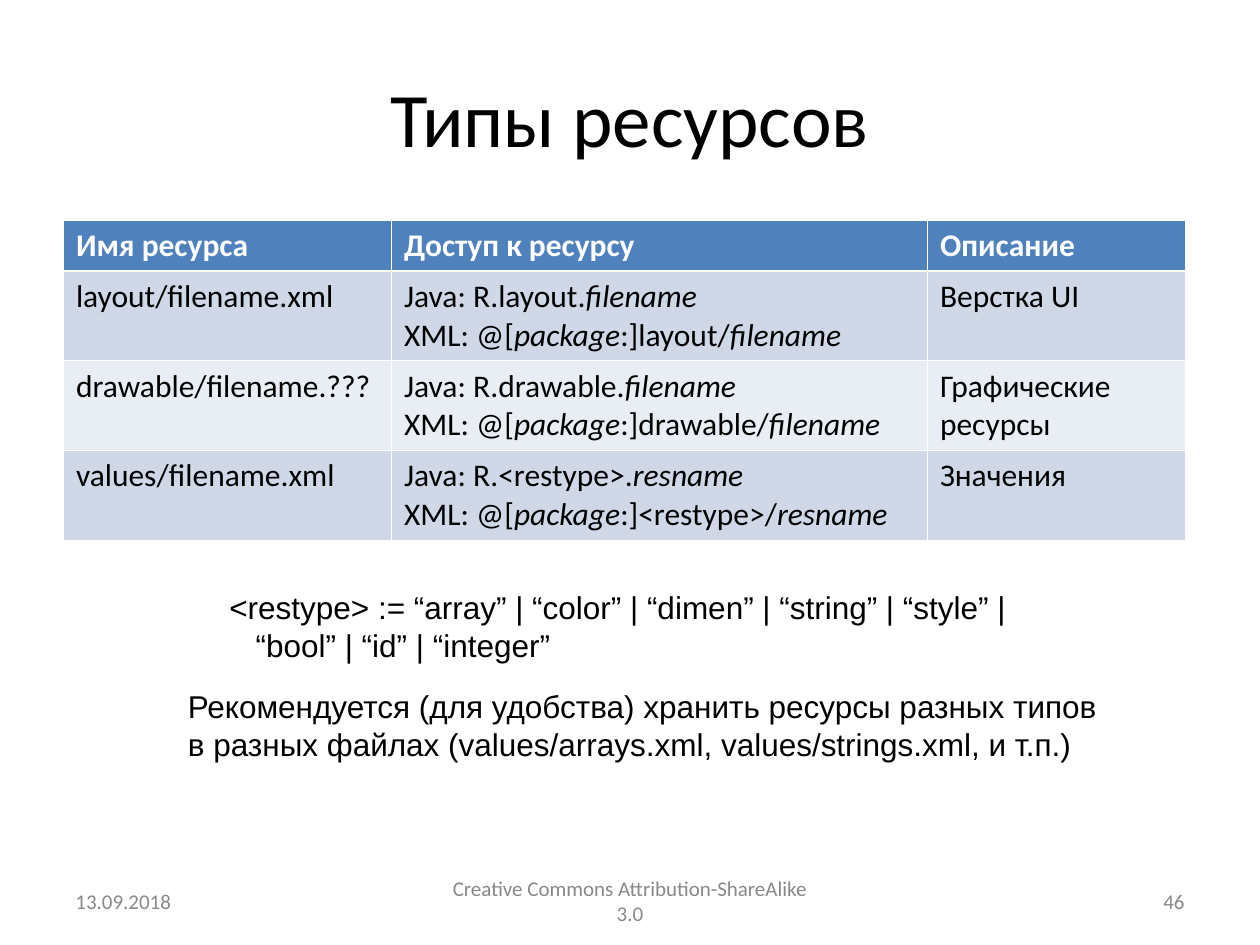
from dataclasses import dataclass

from lxml.etree import SubElement
from pptx import Presentation
from pptx.dml.color import RGBColor
from pptx.enum.text import MSO_ANCHOR as ANCHOR, PP_ALIGN as ALIGN
from pptx.oxml.ns import qn
from pptx.util import Pt


@dataclass(frozen=True)
class Theme:
    black: str = "000000"
    white: str = "FFFFFF"
    gray: str = "898989"
    header: str = "4F81BD"
    bands: tuple = ("D0D8E8", "E9EDF4")
    heading_font: str = "Calibri"
    note_font: str = "Arial"
    title: int = 44
    body: int = 18
    footer: int = 12
    thin: float = 0.45
    thick: float = 1.47


class Deck:
    """Draws styled elements on the current slide."""

    def __init__(self, prs, theme):
        self.theme = theme
        self.slide = prs.slides.add_slide(prs.slide_layouts[6])

    def format(self, p, font, size, color, bold=False):
        for r in p.runs:
            r.font.name, r.font.size, r.font.bold = font, Pt(size), bold
            r.font.color.rgb = RGBColor.from_string(color)

    def text(self, box, lines, font, size, color, align=ALIGN.LEFT,
             anchor=ANCHOR.MIDDLE, indent=0):
        sp = self.slide.shapes.add_textbox(*map(Pt, box))
        tf = sp.text_frame
        tf.word_wrap, tf.vertical_anchor = True, anchor
        for i, line in enumerate(lines):
            p = tf.add_paragraph() if i else tf.paragraphs[0]
            p.text, p.alignment = line, align
            if i and indent:
                p._p.get_or_add_pPr().set("marL", str(Pt(indent)))
            self.format(p, font, size, color)

    def title(self, box, text):
        t = self.theme
        self.text(box, [text], t.heading_font, t.title, t.black, ALIGN.CENTER)

    def note(self, box, lines, indent=0):
        t = self.theme
        self.text(box, lines, t.note_font, t.body, t.black,
                  anchor=ANCHOR.TOP, indent=indent)

    def footer(self, left, width, text, align):
        t = self.theme
        self.text((left, 500.5, width, 28.75), [text],
                  t.heading_font, t.footer, t.gray, align)

    def borders(self, cell, top, bottom):
        t = self.theme
        tcPr = cell._tc.get_or_add_tcPr()
        widths = {"a:lnL": t.thin, "a:lnR": t.thin, "a:lnT": top, "a:lnB": bottom}
        for i, (tag, width) in enumerate(widths.items()):
            ln = SubElement(tcPr, qn(tag), w=str(Pt(width)))
            fill = SubElement(ln, qn("a:solidFill"))
            SubElement(fill, qn("a:srgbClr"), val=t.white)
            tcPr.insert(i, ln)

    def cell(self, cell, text, row):
        t = self.theme
        head = row == 0
        cell.fill.solid()
        cell.fill.fore_color.rgb = RGBColor.from_string(
            t.header if head else t.bands[(row - 1) % 2])
        self.borders(cell, t.thick if row == 1 else t.thin,
                     t.thick if head else t.thin)
        tf = cell.text_frame
        for i, line in enumerate(text.split("\n")):
            p = tf.add_paragraph() if i else tf.paragraphs[0]
            for j, part in enumerate(line.split("*")):
                if part:
                    r = p.add_run()
                    r.text, r.font.italic = part, j % 2 == 1
            self.format(p, t.heading_font, t.body,
                        t.white if head else t.black, head)

    def table(self, left, top, widths, heights, rows):
        box = map(Pt, (left, top, sum(widths), sum(heights)))
        table = self.slide.shapes.add_table(len(rows), len(widths), *box).table
        for column, width in zip(table.columns, widths):
            column.width = Pt(width)
        for i, (row, height) in enumerate(zip(rows, heights)):
            table.rows[i].height = Pt(height)
            for j, text in enumerate(row):
                self.cell(table.cell(i, j), text, i)


def access(kind, name):
    return f"Java: R.{kind}.*{name}*\nXML: @[*package*:]{kind}/*{name}*"


def main():
    prs = Presentation()
    prs.slide_width, prs.slide_height = Pt(720), Pt(540)
    deck = Deck(prs, Theme())
    deck.title((36, 21.6, 648, 90), "Типы ресурсов")
    deck.table(36.25, 126, (187.5, 306.25, 147.5), (29, 51.2, 51.2, 51.2), [
        ("Имя ресурса", "Доступ к ресурсу", "Описание"),
        ("layout/filename.xml", access("layout", "filename"), "Верстка UI"),
        ("drawable/filename.???", access("drawable", "filename"),
         "Графические ресурсы"),
        ("values/filename.xml", access("<restype>", "resname"), "Значения"),
    ])
    deck.footer(36, 168, "13.09.2018", ALIGN.LEFT)
    deck.footer(246, 228, "Creative Commons Attribution-ShareAlike 3.0", ALIGN.CENTER)
    deck.footer(516, 168, "46", ALIGN.RIGHT)
    deck.note((124, 332.75, 470, 50.5), [
        "<restype> := “array” | “color” | “dimen” | “string” | “style” |",
        "“bool” | “id” | “integer”",
    ], indent=15)
    deck.note((100.25, 389, 545, 50.5), [
        "Рекомендуется (для удобства) хранить ресурсы разных типов\n"
        "в разных файлах (values/arrays.xml, values/strings.xml, и т.п.)",
    ])
    prs.save("out.pptx")


if __name__ == "__main__":
    main()
